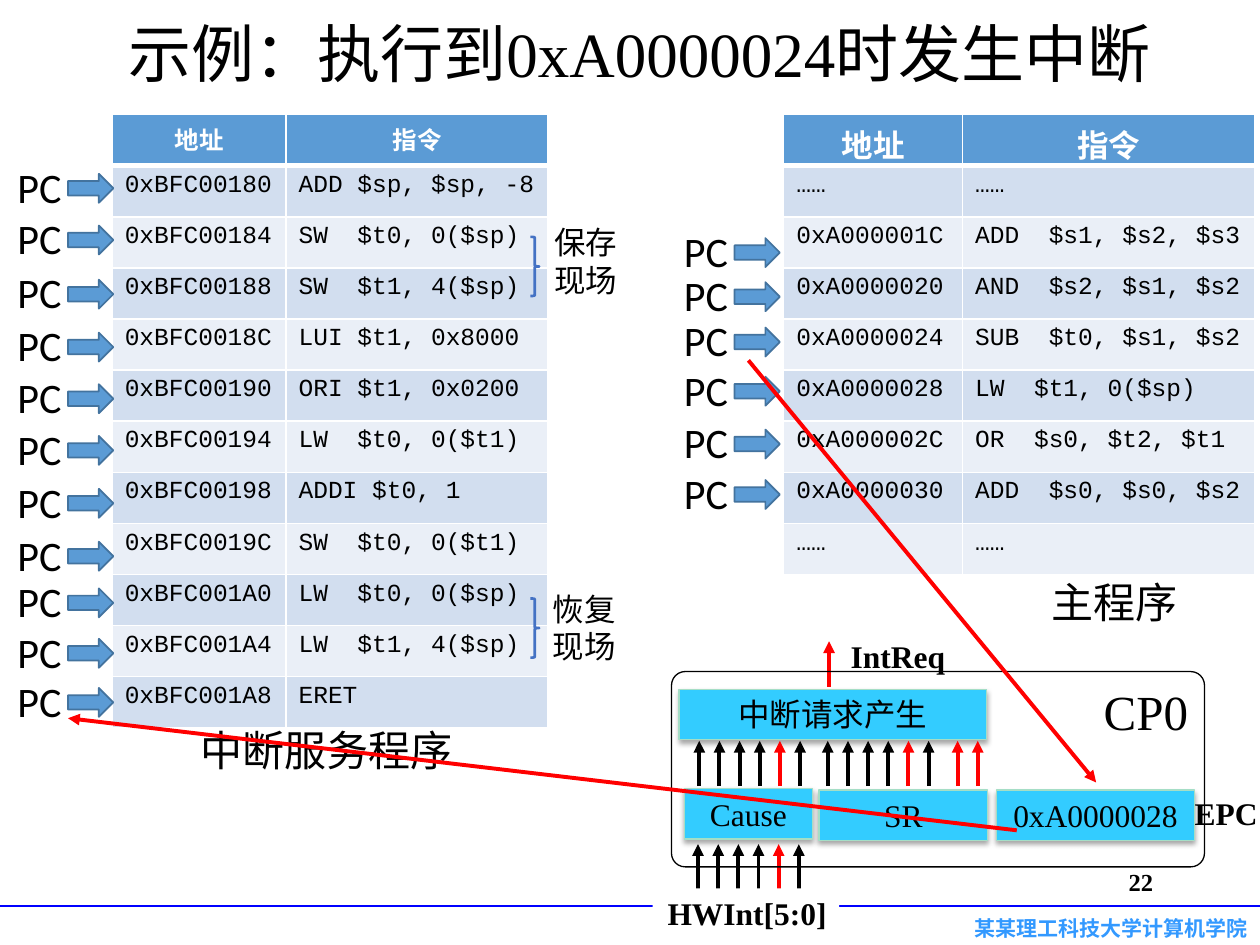
"""Build the slide that traces an interrupt raised at 0xA0000024."""
from dataclasses import dataclass

import lxml.etree
import pptx
import pptx.dml.color
import pptx.enum.shapes
import pptx.enum.text
import pptx.oxml.ns
import pptx.util

Inches = pptx.util.Inches
Pt = pptx.util.Pt
qn = pptx.oxml.ns.qn
SHAPES = pptx.enum.shapes.MSO_SHAPE
ALIGN = pptx.enum.text.PP_ALIGN
ANCHOR = pptx.enum.text.MSO_ANCHOR

COLORS = {
    "black": "000000", "white": "FFFFFF", "red": "FF0000", "rule": "0000FF",
    "school": "3399FF", "header": "5B9BD5", "odd_row": "D2DEEF",
    "even_row": "EAEFF7", "pc_edge": "43739E", "brace": "4472C4",
    "register": "33CCFF", "register_edge": "A5DEC6",
}
SERIF, SANS, MONO, CJK = "Times New Roman", "Calibri", "Courier New", "Noto Sans CJK SC"


@dataclass
class Caption:
    text: str
    left: float
    top: float
    width: float
    height: float
    size: float = 18
    font: str = SERIF
    color: str = "black"
    bold: bool = False
    align: ALIGN = ALIGN.RIGHT
    wrap: bool = False
    anchor: ANCHOR = ANCHOR.TOP
    fill: str = ""


@dataclass
class Program:
    left: float
    widths: tuple[float, float]
    header_size: float
    rows: list[tuple[str, str]]
    pc_left: float
    pc_tops: list[float]


@dataclass
class ArrowBundle:
    first: float
    bottom: float
    count: int
    red: tuple[int, ...]


HEADING = Caption("示例：执行到0xA0000024时发生中断", 0.23, 0.05, 9.69, 0.73, 36,
                  align=ALIGN.CENTER, wrap=True, anchor=ANCHOR.MIDDLE)
SCHOOL = Caption("某某理工科技大学计算机学院", 4.53, 7.22, 5.47, 0.3, 12, CJK, "school", True, wrap=True)
HANDLER = Program(0.89, (1.38, 2.08), 14, [
    ("0xBFC00180", "ADD $sp, $sp, -8"), ("0xBFC00184", "SW  $t0, 0($sp)"),
    ("0xBFC00188", "SW  $t1, 4($sp)"), ("0xBFC0018C", "LUI $t1, 0x8000"),
    ("0xBFC00190", "ORI $t1, 0x0200"), ("0xBFC00194", "LW  $t0, 0($t1)"),
    ("0xBFC00198", "ADDI $t0, 1"), ("0xBFC0019C", "SW  $t0, 0($t1)"),
    ("0xBFC001A0", "LW  $t0, 0($sp)"), ("0xBFC001A4", "LW  $t1, 4($sp)"),
    ("0xBFC001A8", "ERET"),
], 0.04, [1.23, 1.64, 2.07, 2.49, 2.9, 3.31, 3.73, 4.15, 4.52, 4.92, 5.31])
MAIN_PROGRAM = Program(6.22, (1.42, 2.32), 18, [
    ("……", "……"), ("0xA000001C", "ADD  $s1, $s2, $s3"),
    ("0xA0000020", "AND  $s2, $s1, $s2"), ("0xA0000024", "SUB  $t0, $s1, $s2"),
    ("0xA0000028", "LW  $t1, 0($sp)"), ("0xA000002C", "OR  $s0, $t2, $t1"),
    ("0xA0000030", "ADD  $s0, $s0, $s2"), ("……", "……"),
], 5.33, [1.74, 2.09, 2.45, 2.84, 3.26, 3.66])
CONTEXT_STEPS = [
    (1.88, Caption("保存\n现场", 4.3, 1.72, 0.71, 0.71, font=CJK, align=ALIGN.LEFT)),
    (4.75, Caption("恢复\n现场", 4.29, 4.63, 0.71, 0.71, font=CJK, align=ALIGN.LEFT)),
]
REGISTERS = [
    Caption("Cause", 5.43, 6.26, 1.02, 0.4, align=ALIGN.CENTER),
    Caption("SR", 6.5, 6.27, 1.34, 0.4, align=ALIGN.CENTER),
    Caption("中断请求产生", 5.39, 5.47, 2.44, 0.4, align=ALIGN.CENTER),
    Caption("0xA0000028", 7.91, 6.27, 1.57, 0.4, align=ALIGN.CENTER),
]
BUNDLES = [
    ArrowBundle(5.54, 7.06, 6, (4,)),
    ArrowBundle(5.55, 6.24, 6, (4,)),
    ArrowBundle(6.57, 6.24, 6, (4,)),
    ArrowBundle(7.6, 6.24, 2, (0, 1)),
    ArrowBundle(6.58, 5.45, 1, (0,)),
]
LABELS = [
    Caption("EPC", 9.37, 6.25, 0.71, 0.4, bold=True),
    Caption("IntReq", 6.64, 5.01, 0.96, 0.4, bold=True),
    Caption("HWInt[5:0]", 5.18, 7.05, 1.48, 0.4, bold=True, fill="white"),
    Caption("中断服务程序", 1.46, 5.7, 2.23, 0.5, 24),
    Caption("主程序", 8.22, 4.53, 1.22, 0.5, 24),
    Caption("22", 7.17, 6.83, 2.08, 0.5, 14, bold=True, wrap=True),
]


def rgb(name: str) -> pptx.dml.color.RGBColor:
    """Return the named colour."""
    return pptx.dml.color.RGBColor.from_string(COLORS[name])


def format_text(frame, size: float, font: str, color: str, bold: bool, align: ALIGN) -> None:
    """Apply one look to every run in the frame."""
    for paragraph in frame.paragraphs:
        paragraph.alignment = align
        for run in paragraph.runs:
            run.font.size, run.font.name, run.font.bold = Pt(size), font, bold
            run.font.color.rgb = rgb(color)
            lxml.etree.SubElement(run.font._element, qn("a:ea"), typeface=CJK)


def write_caption(shape, caption: Caption) -> None:
    """Put the caption's text into the shape."""
    frame = shape.text_frame
    frame.text = caption.text
    frame.word_wrap = caption.wrap
    frame.vertical_anchor = caption.anchor
    format_text(frame, caption.size, caption.font, caption.color, caption.bold, caption.align)


def add_caption(shapes, caption: Caption) -> None:
    """Draw a text box."""
    box = shapes.add_textbox(*map(Inches, (caption.left, caption.top, caption.width, caption.height)))
    if caption.fill:
        box.fill.solid()
        box.fill.fore_color.rgb = rgb(caption.fill)
    write_caption(box, caption)


def add_outline(shapes, kind: SHAPES, bounds: tuple, edge: str, weight: float, fill: str = ""):
    """Draw a preset shape without a shadow and return it."""
    shape = shapes.add_shape(kind, *map(Inches, bounds))
    shape.shadow.inherit = False
    if fill:
        shape.fill.solid()
        shape.fill.fore_color.rgb = rgb(fill)
    else:
        shape.fill.background()
    shape.line.color.rgb, shape.line.width = rgb(edge), Pt(weight)
    return shape


def add_register(shapes, caption: Caption) -> None:
    """Draw a labelled register box with a soft shadow."""
    bounds = (caption.left, caption.top, caption.width, caption.height)
    box = add_outline(shapes, SHAPES.RECTANGLE, bounds, "register_edge", 0.75, "register")
    effects = box._element.spPr.find(qn("a:effectLst"))
    shadow = lxml.etree.SubElement(effects, qn("a:outerShdw"), blurRad=str(Pt(3.1)),
                                   dist=str(Pt(1.8)), dir="5400000", rotWithShape="0")
    tint = lxml.etree.SubElement(shadow, qn("a:srgbClr"), val=COLORS["black"])
    lxml.etree.SubElement(tint, qn("a:alpha"), val="35000")
    write_caption(box, caption)


def add_line(shapes, start: tuple, end: tuple, color: str, weight: float = 2.25, arrow: bool = True) -> None:
    """Draw a straight line, with an arrowhead at its end if wanted."""
    line = shapes.add_connector(pptx.enum.shapes.MSO_CONNECTOR.STRAIGHT, *map(Inches, start + end))
    line.line.color.rgb, line.line.width = rgb(color), Pt(weight)
    if arrow:
        lxml.etree.SubElement(line.line._get_or_add_ln(), qn("a:tailEnd"), type="triangle")
    lxml.etree.SubElement(line._element.spPr, qn("a:effectLst"))


def style_cell(cell, row: int, fill: str) -> None:
    """Give a cell white borders and a fill."""
    properties = cell._tc.get_or_add_tcPr()
    for side in "LRTB":
        heavy = (row, side) in ((0, "B"), (1, "T"))
        border = lxml.etree.SubElement(properties, qn(f"a:ln{side}"), w=str(Pt(3 if heavy else 1)))
        solid = lxml.etree.SubElement(border, qn("a:solidFill"))
        lxml.etree.SubElement(solid, qn("a:srgbClr"), val=COLORS["white"])
    cell.fill.solid()
    cell.fill.fore_color.rgb = rgb(fill)


def add_program(shapes, program: Program) -> None:
    """Draw a program listing and its PC markers."""
    rows = [("地址", "指令")] + program.rows
    bounds = (program.left, 0.91, sum(program.widths), 4.87 / 12 * len(rows))
    table = shapes.add_table(len(rows), 2, *map(Inches, bounds)).table
    for column, width in zip(table.columns, program.widths):
        column.width = Inches(width)
    for r, texts in enumerate(rows):
        for c, text in enumerate(texts):
            cell = table.cell(r, c)
            cell.text_frame.text = text
            if r == 0:
                cell.margin_bottom = 0
                style_cell(cell, r, "header")
                format_text(cell.text_frame, program.header_size, SANS, "white", True, ALIGN.CENTER)
            else:
                style_cell(cell, r, "odd_row" if r % 2 else "even_row")
                format_text(cell.text_frame, 14, MONO, "black", False, ALIGN.LEFT)
    for top in program.pc_tops:
        marker = shapes.add_group_shape().shapes
        arrow = (program.pc_left + 0.5, top + 0.15, 0.36, 0.23)
        add_outline(marker, SHAPES.RIGHT_ARROW, arrow, "pc_edge", 1, "header")
        add_caption(marker, Caption("PC", program.pc_left, top, 0.57, 0.5, 24, SANS,
                                    align=ALIGN.LEFT, wrap=True))


def main() -> None:
    """Assemble and save the slide."""
    deck = pptx.Presentation()
    deck.slide_width, deck.slide_height = Inches(10), Inches(7.5)
    shapes = deck.slides.add_slide(deck.slide_layouts[6]).shapes
    add_caption(shapes, SCHOOL)
    add_line(shapes, (10, 7.19), (0, 7.19), "rule", 1.5, False)
    add_caption(shapes, HEADING)
    for program in (HANDLER, MAIN_PROGRAM):
        add_program(shapes, program)
    for top, step in CONTEXT_STEPS:
        add_outline(shapes, SHAPES.RIGHT_BRACE, (4.21, top, 0.07, 0.47), "brace", 1.5)
        add_caption(shapes, step)
    for register in REGISTERS:
        add_register(shapes, register)
    for bundle in BUNDLES:
        for i in range(bundle.count):
            x = bundle.first + 0.16 * i
            color = "red" if i in bundle.red else "black"
            add_line(shapes, (x, bundle.bottom), (x, bundle.bottom - 0.36), color)
    for label in LABELS:
        add_caption(shapes, label)
    coprocessor = add_outline(shapes, SHAPES.ROUNDED_RECTANGLE, (5.33, 5.33, 4.23, 1.55), "black", 0.75)
    coprocessor.adjustments[0] = 0.07
    write_caption(coprocessor, Caption("CP0", 5.33, 5.33, 4.23, 1.55, 28))
    coprocessor.text_frame.paragraphs[0].space_before = Pt(5.6)
    add_line(shapes, (5.94, 2.86), (8.7, 6.21), "red")
    add_line(shapes, (8.07, 6.59), (0.54, 5.7), "red")
    deck.save("out.pptx")


if __name__ == "__main__":
    main()
